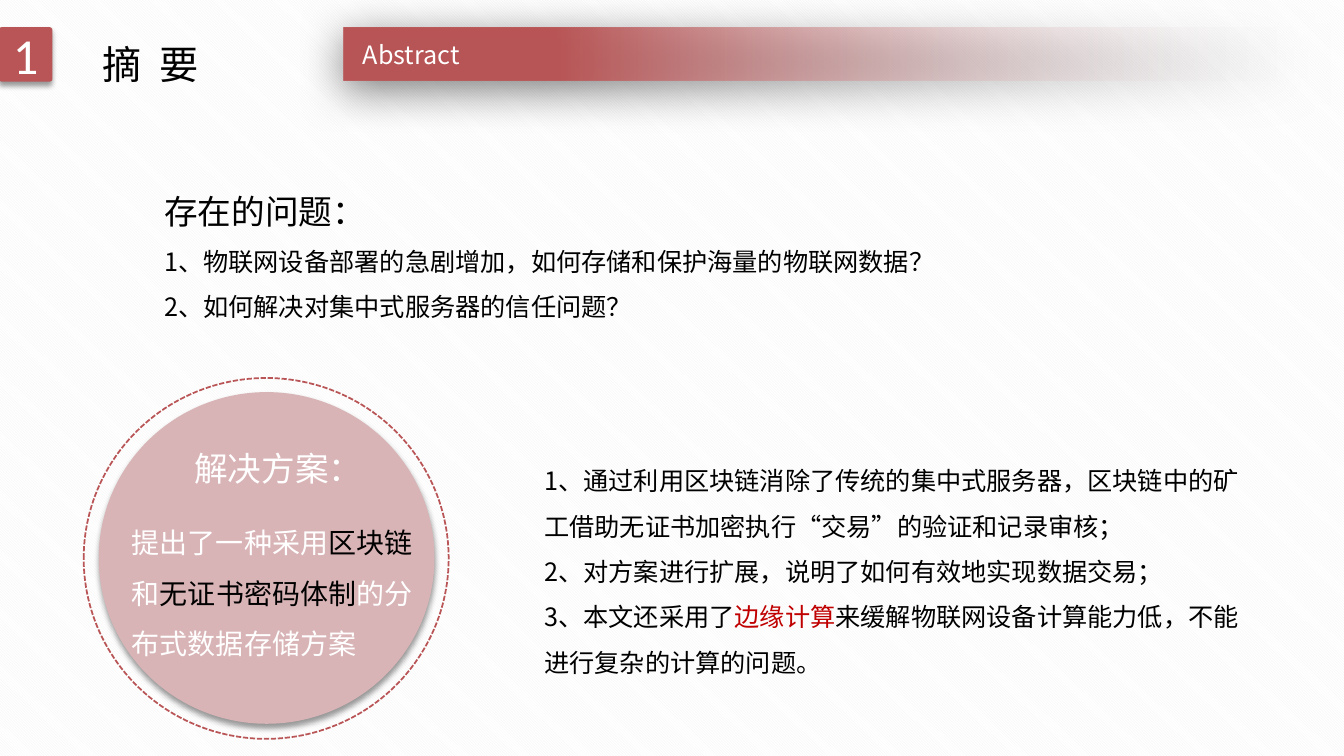
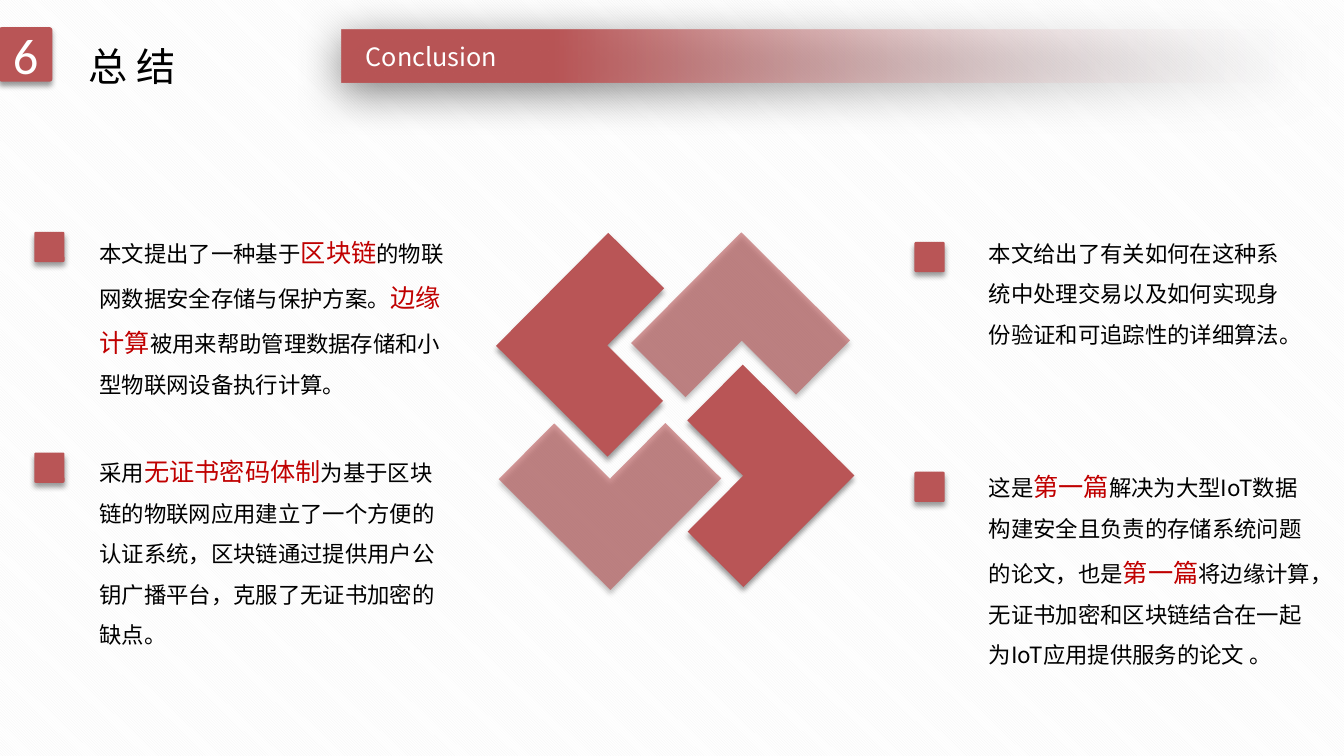
from lxml import etree
from pptx import Presentation
from pptx.dml.color import RGBColor
from pptx.enum.dml import MSO_LINE, MSO_PATTERN
from pptx.enum.shapes import MSO_SHAPE
from pptx.enum.text import MSO_ANCHOR, MSO_AUTO_SIZE, PP_ALIGN
from pptx.oxml.ns import qn
from pptx.util import Pt

PX = 9144  # EMU in one px, 100 px to the inch
RECT, ROUNDED = MSO_SHAPE.RECTANGLE, MSO_SHAPE.ROUNDED_RECTANGLE
OVAL, CORNER = MSO_SHAPE.OVAL, MSO_SHAPE.from_xml("corner")
LEFT, CENTER = PP_ALIGN.LEFT, PP_ALIGN.CENTER
TOP, MIDDLE = MSO_ANCHOR.TOP, MSO_ANCHOR.MIDDLE
CJK, LATIN = "Noto Sans CJK SC", "Calibri"
RED, PINK, ACCENT = "B95556", "D9B4B6", "C00000"
BLACK, WHITE, PALE = "000000", "FFFFFF", "F7FAFD"
SOFT, DEEP = (40, 4, 3, 90), (50, 31, 6, 97)
rgb = RGBColor.from_string


def draw(s, kind, box, fill=None, alpha=None, shadow=SOFT):
    """Add a shape; alpha is its opacity and shadow its (opacity, blur, distance, angle)."""
    sp = s.shapes.add_shape(kind, *[v * PX for v in box])
    sp.line.fill.background()
    if fill:
        sp.fill.solid()
        sp.fill.fore_color.rgb = rgb(fill)
    else:
        sp.fill.background()
    sp.shadow.inherit = False
    if kind == ROUNDED:
        sp.adjustments[0] = 0.05
    if alpha is not None:
        color = sp._element.spPr.find(".//" + qn("a:srgbClr"))
        etree.SubElement(color, qn("a:alpha"), val=str(alpha * 1000))
    if shadow:
        opacity, blur, dist, angle = shadow
        effects = sp._element.spPr.find(qn("a:effectLst"))
        outer = etree.SubElement(effects, qn("a:outerShdw"), blurRad=str(Pt(blur)), dist=str(Pt(dist)),
                                 dir=str(angle * 60000), algn="t", rotWithShape="0")
        color = etree.SubElement(outer, qn("a:srgbClr"), val=BLACK)
        etree.SubElement(color, qn("a:alpha"), val=str(opacity * 1000))
    return sp


def write(s, box, lines, size, color=BLACK, mark=ACCENT, mark_size=None, spacing=1.5,
          font=CJK, align=LEFT, anchor=TOP, wrap=True, holder=None):
    """Write lines into holder or a new text box; parts between asterisks are marked."""
    sp = holder or s.shapes.add_textbox(0, 0, 0, 0)
    sp.left, sp.top, sp.width, sp.height = [v * PX for v in box]
    tf = sp.text_frame
    tf.word_wrap, tf.vertical_anchor, tf.auto_size = wrap, anchor, MSO_AUTO_SIZE.NONE
    for i, line in enumerate(lines):
        p = tf.add_paragraph() if i else tf.paragraphs[0]
        p.alignment, p.line_spacing = align, spacing
        p.font.name, p.font.size, p.font.color.rgb = font, Pt(size), rgb(color)
        latin = p._p.pPr.find(".//" + qn("a:latin"))
        latin.addnext(latin.makeelement(qn("a:ea"), typeface=font))
        for j, part in enumerate(line.split("*")):
            r = p.add_run()
            r.text = part
            if j % 2:
                r.font.color.rgb = rgb(mark)
                if mark_size:
                    r.font.size = Pt(mark_size)
    return tf


prs = Presentation()
prs.slide_width, prs.slide_height = 1333 * PX, 750 * PX
background = prs.slide_master.background.fill
background.patterned()
background.pattern = MSO_PATTERN.DARK_DOWNWARD_DIAGONAL
background.fore_color.rgb = rgb("F2F2F2")
background.back_color.rgb = rgb(WHITE)

# Shared header: number badge, title, fading band and its label
headers = [
    ("1", "摘 要", (92, 12, 124, 72), 315, "Abstract", (341, 27), 350),
    ("6", "总 结", (78, 14, 113, 72), 0, "Conclusion", (339, 29), 353),
]
for number, title, title_box, tracking, label, (band_x, band_y), label_x in headers:
    s = prs.slides.add_slide(prs.slide_layouts[5])
    tf = write(s, title_box, [title], 28, wrap=False, holder=s.shapes.title)
    tf.paragraphs[0].runs[0].font._element.set("spc", str(tracking))

    badge_box = (-1, 27, 53, 54)
    badge = draw(s, ROUNDED, badge_box, RED)
    write(s, badge_box, [number], 36, WHITE, spacing=1.0, font=LATIN, align=CENTER, anchor=MIDDLE, holder=badge)

    band = draw(s, RECT, (band_x, band_y, 953, 53), shadow=DEEP)
    band.fill.gradient()
    band.fill.gradient_angle = 180
    for stop, position, color in zip(band.fill.gradient_stops, (0, 0.78), (PALE, RED)):
        stop.position, stop.color.rgb = position, rgb(color)
    clear = band._element.spPr.find(".//" + qn("a:srgbClr"))
    etree.SubElement(clear, qn("a:alpha"), val="0")
    write(s, (label_x, band_y + 7, 253, 40), [label], 18, WHITE, spacing=1.0)

abstract, conclusion = prs.slides

# Abstract: problems above, solution circle and its points below
tf = write(abstract, (153, 164, 882, 156), [
    "存在的问题：",
    "1、物联网设备部署的急剧增加，如何存储和保护海量的物联网数据？",
    "2、如何解决对集中式服务器的信任问题？",
], 18)
tf.paragraphs[0].font.size = Pt(24)

draw(abstract, OVAL, (98, 389, 333, 329), PINK)
ring = draw(abstract, OVAL, (83, 375, 362, 358), shadow=None)
ring.line.color.rgb = rgb(RED)
ring.line.width = Pt(1.25)
ring.line.dash_style = MSO_LINE.SQUARE_DOT
write(abstract, (121, 500, 303, 156), ["提出了一种采用*区块链*和*无证书密码体制*的分布式数据存储方案"],
      20, WHITE, mark=BLACK)
write(abstract, (183, 439, 170, 50), ["解决方案："], 24, WHITE, spacing=1.0)
write(abstract, (530, 442, 727, 232), [
    "1、通过利用区块链消除了传统的集中式服务器，区块链中的矿工借助无证书加密执行“交易”的验证和记录审核；",
    "2、对方案进行扩展，说明了如何有效地实现数据交易；",
    "3、本文还采用了*边缘计算*来缓解物联网设备计算能力低，不能进行复杂的计算的问题。",
], 18)

# Conclusion: four interlocking corners with two points on each side
corners = [(525, 263, 156, 158), (657, 263, 155, 152), (659, 394, 156, 156), (527, 397, 156, 156)]
for i, box in enumerate(corners):
    corner = draw(conclusion, CORNER, box, RED, alpha=60 if i % 2 else None)
    corner.rotation = 44.8 + 90 * i

points = [
    ((34, 230), (89, 215, 368, 182),
     "本文提出了一种基于*区块链*的物联网数据安全存储与保护方案。*边缘计算*被用来帮助管理数据存储和小型物联网设备执行计算。"),
    ((907, 240), (971, 220, 322, 127),
     "本文给出了有关如何在这种系统中处理交易以及如何实现身份验证和可追踪性的详细算法。"),
    ((34, 449), (89, 433, 368, 212),
     "采用*无证书密码体制*为基于区块链的物联网应用建立了一个方便的认证系统，"
     "区块链通过提供用户公钥广播平台，克服了无证书加密的缺点。"),
    ((907, 468), (971, 448, 346, 217),
     "这是*第一篇*解决为大型IoT数据构建安全且负责的存储系统问题的论文，"
     "也是*第一篇*将边缘计算，无证书加密和区块链结合在一起为IoT应用提供服务的论文 。"),
]
for marker, box, point in points:
    draw(conclusion, ROUNDED, (*marker, 30, 30), RED)
    write(conclusion, box, [point], 16, mark_size=18)

prs.save("out.pptx")
